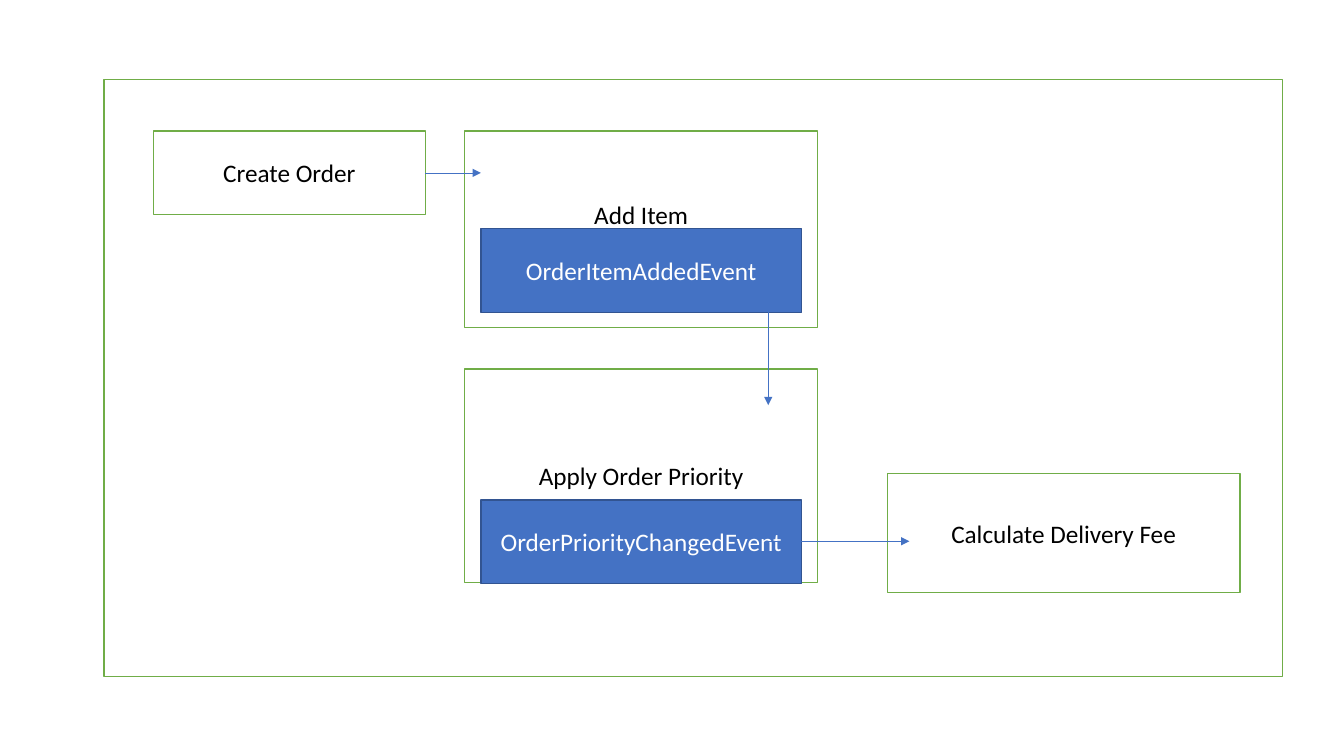
from lxml import etree
from pptx import Presentation
from pptx.dml.color import RGBColor
from pptx.enum import shapes, text
from pptx.oxml.ns import qn
from pptx.util import Inches, Pt

WHITE = RGBColor(0xFF, 0xFF, 0xFF)
BLACK = RGBColor(0, 0, 0)
GREEN = RGBColor(0x70, 0xAD, 0x47)
BLUE = RGBColor(0x44, 0x72, 0xC4)
DARK_BLUE = RGBColor(0x32, 0x54, 0x91)

STEP_W = 3.5
BAR_H = 0.83
BAR_INSET = 0.16


def add_box(s, x, y, w, h, label="", fill=WHITE, line=GREEN, color=BLACK):
    sp = s.shapes.add_shape(shapes.MSO_SHAPE.RECTANGLE,
                            Inches(x), Inches(y), Inches(w), Inches(h))
    sp.shadow.inherit = False
    sp.fill.solid()
    sp.fill.fore_color.rgb = fill
    sp.line.color.rgb = line
    sp.line.width = Pt(1)
    if label:
        tf = sp.text_frame
        tf.text = label
        tf.word_wrap = True
        tf.vertical_anchor = text.MSO_ANCHOR.MIDDLE
        p = tf.paragraphs[0]
        p.alignment = text.PP_ALIGN.CENTER
        font = p.runs[0].font
        font.name, font.size = "Calibri", Pt(18)
        font.color.rgb = color
    return sp


def add_event_step(s, x, y, h, label, event, bar_y):
    """A step whose event bar lies bar_y below the top of the step."""
    step = add_box(s, x, y, STEP_W, h, label)
    add_box(s, x + BAR_INSET, y + bar_y, STEP_W - 2 * BAR_INSET, BAR_H,
            event, BLUE, DARK_BLUE, WHITE)
    return step


def add_arrow(s, x1, y1, x2, y2):
    c = s.shapes.add_connector(shapes.MSO_CONNECTOR.STRAIGHT,
                               Inches(x1), Inches(y1), Inches(x2), Inches(y2))
    c.line.color.rgb = BLUE
    c.line.width = Pt(0.5)
    etree.SubElement(c.line._get_or_add_ln(), qn("a:tailEnd"), type="triangle")
    etree.SubElement(c._element.spPr, qn("a:effectLst"))
    return c


def add_order_flow(s, x, y, w, h):
    # Frame
    add_box(s, x, y, w, h)

    # Steps
    step_x, step_y = x + 3.58, y + 0.51
    create = add_box(s, x + 0.49, step_y, 2.7, BAR_H, "Create Order")
    add_item = add_event_step(s, step_x, step_y, 1.95, "Add Item",
                              "OrderItemAddedEvent", 0.97)
    add_item.text_frame.margin_bottom = Inches(0.35)
    add_event_step(s, step_x, y + 2.87, 2.12, "Apply Order Priority",
                   "OrderPriorityChangedEvent", 1.3)
    add_box(s, x + 7.77, y + 3.91, STEP_W, 1.18, "Calculate Delivery Fee")

    # Arrows
    event_x = x + 6.59
    create_y = step_y + BAR_H / 2
    c = add_arrow(s, x + 3.19, create_y, step_x + BAR_INSET, create_y)
    c.begin_connect(create, 3)
    add_arrow(s, event_x, y + 2.12, event_x, y + 3.23)
    add_arrow(s, event_x, y + 4.58, event_x + 1.4, y + 4.58)


def main():
    prs = Presentation()
    prs.slide_width, prs.slide_height = Inches(13.33), Inches(7.5)
    s = prs.slides.add_slide(prs.slide_layouts[6])
    add_order_flow(s, 1.03, 0.79, 11.69, 5.92)
    prs.save("out.pptx")


if __name__ == "__main__":
    main()
